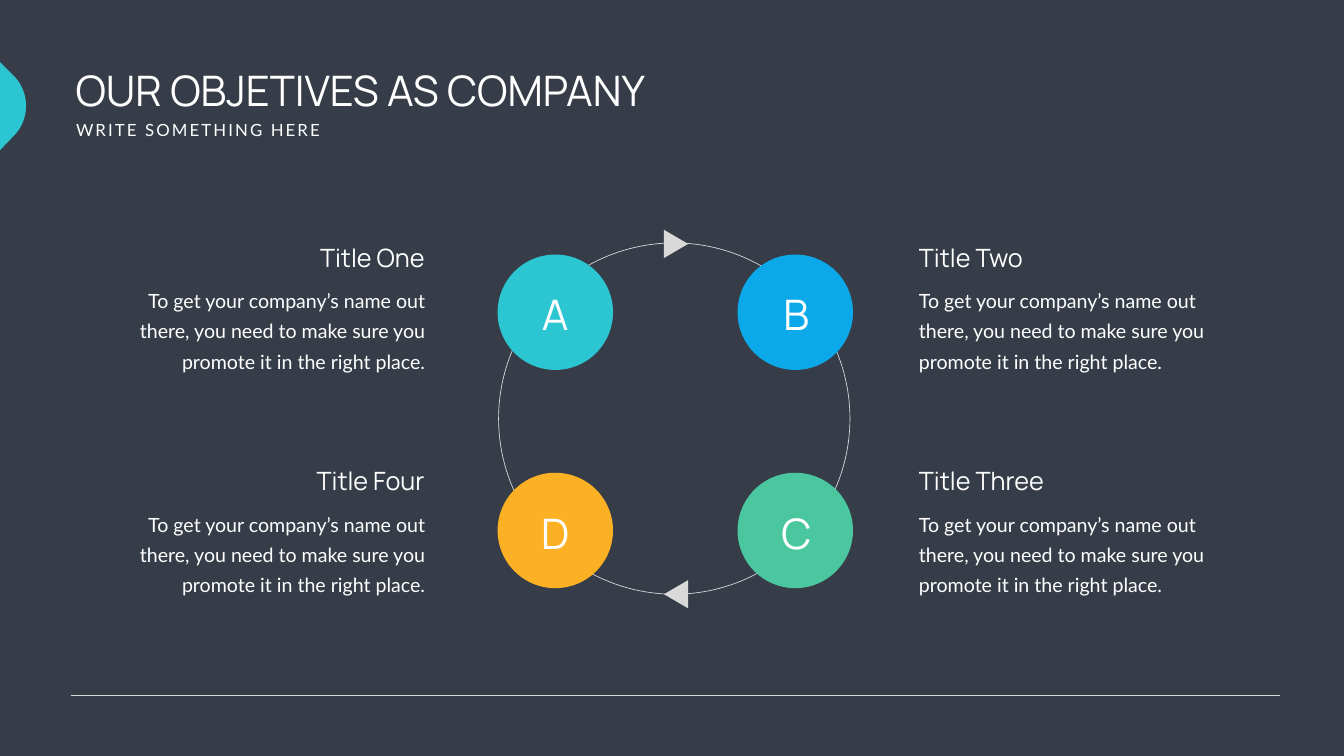
from dataclasses import dataclass

from lxml import etree
from pptx import Presentation
from pptx import util as u
from pptx.dml.color import RGBColor
from pptx.enum import shapes, text
from pptx.oxml import ns

WHITE = "FFFFFF"
LIGHT_GRAY = "D9D9D9"
TEAL = "2CC5D2"
CIRCLE_SIZE = 2.29
LETTER_WIDTH = 0.95
LETTER_HEIGHT = 1.11
DESCRIPTION = (
    "To get your company’s name out there, "
    "you need to make sure you promote it in the right place."
)


@dataclass(frozen=True)
class Objective:
    letter: str
    title: str
    color: str
    column: int
    row: int


@dataclass(frozen=True)
class Arrow:
    top: float
    rotation: int


OBJECTIVES = [
    Objective("D", "Title Four", "FBB123", 0, 1),
    Objective("C", "Title Three", "4BC79F", 1, 1),
    Objective("A", "Title One", TEAL, 0, 0),
    Objective("B", "Title Two", "0BA9E9", 1, 0),
]
ARROWS = [Arrow(4.6, 90), Arrow(11.55, 270)]


def color(value: str) -> RGBColor:
    return RGBColor.from_string(value)


def place(left: float, top: float, width: float, height: float) -> list[u.Length]:
    return [u.Inches(value) for value in (left, top, width, height)]


def paint(shape, fill: str | None = None, line: str | None = None) -> None:
    shape.shadow.inherit = False
    if fill:
        shape.fill.solid()
        shape.fill.fore_color.rgb = color(fill)
    else:
        shape.fill.background()
    if line:
        shape.line.color.rgb = color(line)
        shape.line.width = u.Pt(1)
    else:
        shape.line.fill.background()


def add_text(
    slide,
    content: str,
    box: tuple[float, float, float, float],
    *,
    size: int,
    font: str = "Manrope",
    align=text.PP_ALIGN.LEFT,
    line_spacing: int | None = None,
    letter_spacing: int | None = None,
    wrap: bool = True,
) -> None:
    frame = slide.shapes.add_textbox(*place(*box)).text_frame
    frame.word_wrap = wrap
    frame.auto_size = text.MSO_AUTO_SIZE.SHAPE_TO_FIT_TEXT
    paragraph = frame.paragraphs[0]
    paragraph.alignment = align
    if line_spacing:
        paragraph.line_spacing = u.Pt(line_spacing)
    run = paragraph.add_run()
    run.text = content
    run.font.size = u.Pt(size)
    run.font.name = font
    run.font.color.rgb = color(WHITE)
    if letter_spacing:
        run.font._element.set("spc", str(letter_spacing * 100))


def add_footer_line(slide) -> None:
    connector = slide.shapes.add_connector(
        shapes.MSO_CONNECTOR.STRAIGHT, *place(1.4, 13.79, 25.4, 13.79)
    )
    connector.line.color.rgb = color(LIGHT_GRAY)
    connector.line.width = u.Pt(0.5)
    etree.SubElement(connector._element.spPr, ns.qn("a:effectLst"))


def curve_point(step: float) -> tuple[float, float]:
    weights = (
        (1 - step) ** 3,
        3 * step * (1 - step) ** 2,
        3 * step**2 * (1 - step),
        step**3,
    )
    controls = ((0.27, 1.5), (0.6, 1.83), (0.6, 2.37), (0.27, 2.7))
    return (
        sum(weight * x for weight, (x, _) in zip(weights, controls)),
        sum(weight * y for weight, (_, y) in zip(weights, controls)),
    )


def add_edge_tab(slide) -> None:
    points = [(0, 1.23), *(curve_point(index / 24) for index in range(25))]
    builder = slide.shapes.build_freeform(0, u.Inches(2.98))
    builder.add_line_segments([(u.Inches(x), u.Inches(y)) for x, y in points])
    paint(builder.convert_to_shape(), fill=TEAL)


def add_circle(slide, objective: Objective) -> None:
    left = 9.87 + 4.76 * objective.column
    top = 5.05 + 4.33 * objective.row
    circle = slide.shapes.add_shape(
        shapes.MSO_SHAPE.OVAL, *place(left, top, CIRCLE_SIZE, CIRCLE_SIZE)
    )
    paint(circle, fill=objective.color)


def add_labels(slide, objective: Objective) -> None:
    on_right = objective.column == 1
    align = text.PP_ALIGN.LEFT if on_right else text.PP_ALIGN.RIGHT
    title_left = 18.13 if on_right else 4.33
    description_left = 18.13 if on_right else 2.51
    title_top = 4.75 + 4.43 * objective.row
    letter_left = 10.54 + 4.78 * objective.column
    letter_top = 5.67 + 4.36 * objective.row
    add_text(
        slide,
        objective.letter,
        (letter_left, letter_top, LETTER_WIDTH, LETTER_HEIGHT),
        size=60,
        align=text.PP_ALIGN.CENTER,
    )
    add_text(
        slide,
        DESCRIPTION,
        (description_left, title_top + 0.81, 6.02, 1.85),
        size=28,
        font="Lato",
        align=align,
        line_spacing=43,
    )
    add_text(
        slide, objective.title, (title_left, title_top, 4.19, 0.71), size=36, align=align
    )


def add_arrow(slide, arrow: Arrow) -> None:
    triangle = slide.shapes.add_shape(
        shapes.MSO_SHAPE.ISOSCELES_TRIANGLE, *place(13.13, arrow.top, 0.56, 0.48)
    )
    triangle.rotation = arrow.rotation
    paint(triangle, fill=LIGHT_GRAY)


def main() -> None:
    presentation = Presentation()
    presentation.slide_width = u.Inches(26.66)
    presentation.slide_height = u.Inches(15)
    slide = presentation.slides.add_slide(presentation.slide_layouts[6])
    slide.background.fill.solid()
    slide.background.fill.fore_color.rgb = color("363D48")

    add_footer_line(slide)
    add_text(slide, "OUR OBJETIVES AS COMPANY", (1.4, 1.24, 16.06, 1.11), size=60)
    add_text(
        slide,
        "WRITE SOMETHING HERE",
        (1.41, 2.33, 5.14, 0.5),
        size=24,
        font="Lato",
        letter_spacing=3,
        wrap=False,
    )
    add_edge_tab(slide)

    ring = slide.shapes.add_shape(shapes.MSO_SHAPE.OVAL, *place(9.89, 4.82, 6.97, 6.97))
    paint(ring, line=LIGHT_GRAY)
    for objective in OBJECTIVES:
        add_circle(slide, objective)
    for objective in OBJECTIVES:
        add_labels(slide, objective)
    for arrow in ARROWS:
        add_arrow(slide, arrow)

    presentation.save("out.pptx")


if __name__ == "__main__":
    main()
